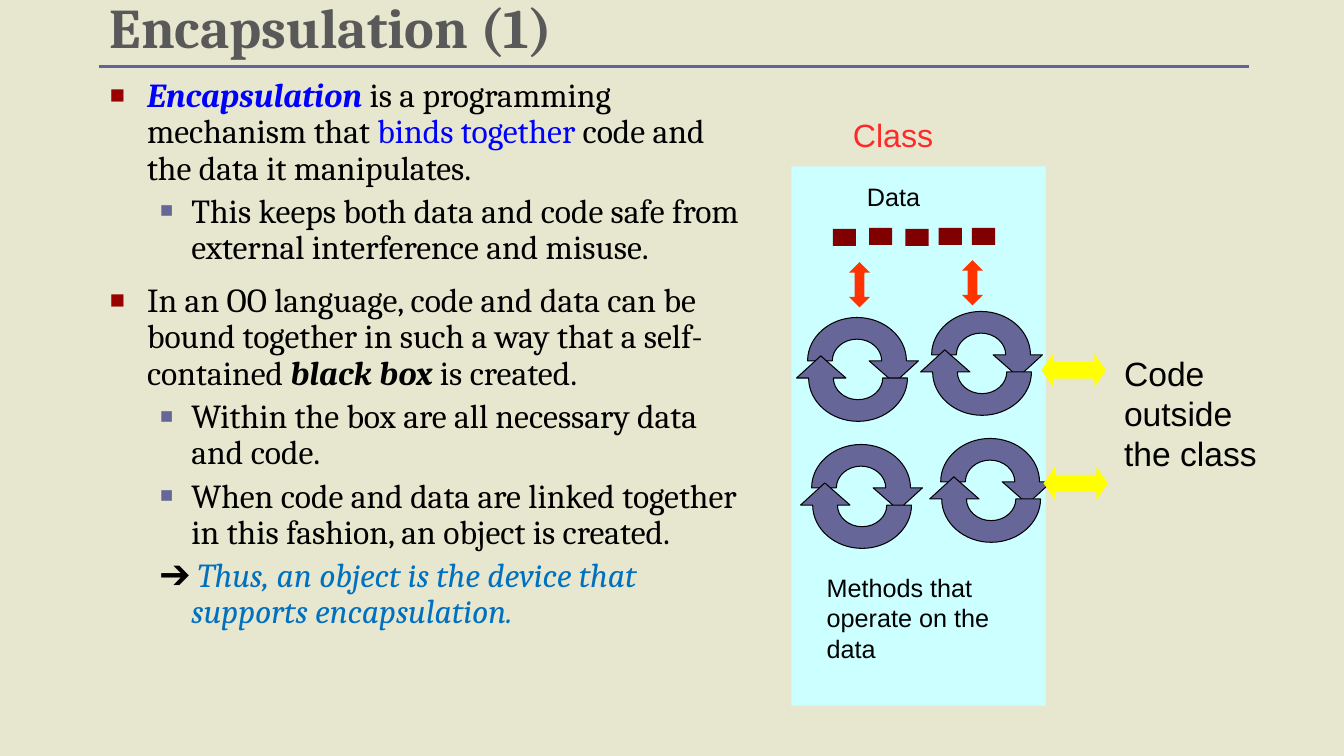
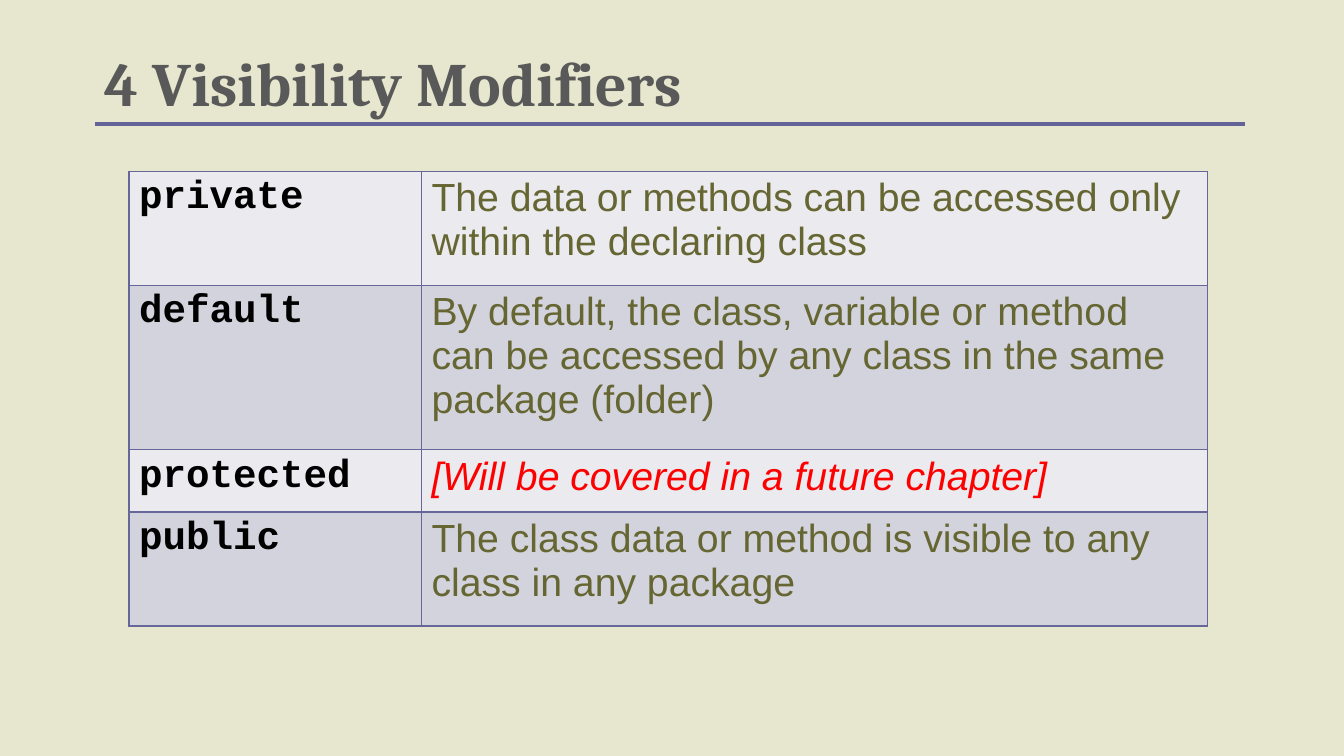
import lxml.etree
import pptx
import pptx.dml.color
import pptx.enum.shapes
import pptx.enum.text
import pptx.oxml.ns
import pptx.util

Inches = pptx.util.Inches
Pt = pptx.util.Pt
RGB = pptx.dml.color.RGBColor
qn = pptx.oxml.ns.qn
KIND = pptx.enum.shapes.MSO_SHAPE

SAND = RGB(0xE7, 0xE7, 0xCF)
GRAY = RGB(0x59, 0x59, 0x59)
RULE = RGB(0x63, 0x63, 0x97)
PLUM = RGB(0x66, 0x66, 0x99)
BLACK = RGB(0, 0, 0)
BLUE = RGB(0, 0, 0xFF)
SKY = RGB(0, 0x70, 0xC0)
RED = RGB(0xFF, 0, 0)
CORAL = RGB(0xFF, 0x29, 0x29)
CRIMSON = RGB(0x99, 0, 0)
MAROON = RGB(0x80, 0, 0)
ORANGE = RGB(0xFF, 0x33, 0)
YELLOW = RGB(0xFF, 0xFF, 0)
CYAN = RGB(0xCC, 0xFF, 0xFF)
OLIVE = RGB(0x66, 0x66, 0x33)
BANDS = (RGB(0xEA, 0xEA, 0xEF), RGB(0xD3, 0xD3, 0xDE))

SERIF, SANS, MONO = "Cambria", "Arial", "Courier New"

LEVELS = {
    "main": (0.37, -0.37, CRIMSON, 75),
    "sub": (0.81, -0.31, PLUM, 65),
    "plain": (0.81, -0.31, None, None),
}
POINTS = [
    ("main", 5, [("Encapsulation ", BLUE, True, True),
                 ("is a programming mechanism that ", BLACK, False, False),
                 ("binds together ", BLUE, False, False),
                 ("code and the data it manipulates.", BLACK, False, False)]),
    ("sub", 5, [("This keeps both data and code safe from external interference and misuse.",
                 BLACK, False, False)]),
    ("main", 12, [("In an OO language, code and data can be bound together in such a way "
                   "that a self-contained ", BLACK, False, False),
                  ("black box ", BLACK, True, True),
                  ("is created.", BLACK, False, False)]),
    ("sub", 5, [("Within the box are all necessary data and code.", BLACK, False, False)]),
    ("sub", 5, [("When code and data are linked together in this fashion, an object is created.",
                 BLACK, False, False)]),
    ("plain", 5, [("➔ ", BLACK, False, False),
                  ("Thus, an object is the device that supports encapsulation.",
                   SKY, False, True)]),
]
LABELS = [
    ("Class", (8.36, 1.09, 2.29, 0.52), 23, CORAL),
    ("Data", (8.5, 1.75, 1.04, 0.43), 18, BLACK),
    ("Methods that operate on the data", (8.1, 5.63, 1.92, 1.08), 18, BLACK),
    ("Code outside the class", (11.05, 3.45, 1.75, 1.42), 24, BLACK),
]
DATA = [(8.26, 2.27), (8.62, 2.26), (8.98, 2.27), (9.31, 2.26), (9.64, 2.26)]
RINGS = [(9.24, 3.09), (8.05, 4.41), (8.01, 3.15), (9.33, 4.35)]
RING = (0.98, 0.86)
LINKS = [(8.42, 2.6), (9.54, 2.58)]
GATES = [(10.33, 3.51), (10.35, 4.63)]

WIDTHS = (2.9, 7.8)
HEIGHTS = (1.13, 1.63, 0.62, 1.13)
ROWS = [
    ("private", "The data or methods can be accessed only within the declaring class"),
    ("default", "By default, the class, variable or method can be accessed by any class "
                "in the same package (folder)"),
    ("protected", "[Will be covered in a future chapter]"),
    ("public", "The class data or method is visible to any class in any package"),
]
LATER = "protected"


def style(run, face, size, color, bold=False, slant=False):
    font = run.font
    font.name, font.size = face, Pt(size)
    font.bold, font.italic = bold, slant
    font.color.rgb = color


def start(deck, text, box, size, rule):
    slide = deck.slides.add_slide(deck.slide_layouts[5])
    title = slide.shapes.title
    title.left, title.top, title.width, title.height = map(Inches, box)
    frame = title.text_frame
    frame.text = text
    frame.auto_size = pptx.enum.text.MSO_AUTO_SIZE.NONE
    frame.vertical_anchor = pptx.enum.text.MSO_ANCHOR.BOTTOM
    para = frame.paragraphs[0]
    para.alignment = pptx.enum.text.PP_ALIGN.LEFT
    para.line_spacing = 0.8
    style(para.runs[0], SERIF, size, GRAY, True)
    return slide


def underline(slide, left, top):
    line = slide.shapes.add_connector(
        pptx.enum.shapes.MSO_CONNECTOR.STRAIGHT,
        Inches(left), Inches(top), Inches(left + 11.41), Inches(top))
    line.line.color.rgb = RULE
    line.line.width = Pt(2.5)
    lxml.etree.SubElement(line._element.spPr, qn("a:effectLst"))


def write(shapes, box):
    frame = shapes.add_textbox(*map(Inches, box)).text_frame
    frame.word_wrap = True
    return frame


def bullet(para, level):
    left, hang, color, size = LEVELS[level]
    props = para._p.get_or_add_pPr()
    props.set("marL", str(Inches(left)))
    props.set("indent", str(Inches(hang)))
    if color is None:
        lxml.etree.SubElement(props, qn("a:buNone"))
        return
    tint = lxml.etree.SubElement(props, qn("a:buClr"))
    lxml.etree.SubElement(tint, qn("a:srgbClr"), val=str(color))
    lxml.etree.SubElement(props, qn("a:buSzPct"), val=str(size * 1000))
    lxml.etree.SubElement(props, qn("a:buFont"), typeface=SANS)
    lxml.etree.SubElement(props, qn("a:buChar"), char="■")


def outline(slide):
    frame = write(slide.shapes, (0.99, 0.73, 6.51, 6.77))
    for num, (level, gap, parts) in enumerate(POINTS):
        para = frame.add_paragraph() if num else frame.paragraphs[0]
        para.level = 0 if level == "main" else 1
        para.line_spacing = 0.9
        para.space_before = Pt(gap)
        bullet(para, level)
        for text, color, bold, slant in parts:
            run = para.add_run()
            run.text = text
            style(run, SERIF, 24, color, bold, slant)


def paint(shape, color):
    shape.shadow.inherit = False
    shape.fill.solid()
    shape.fill.fore_color.rgb = color


def block(shapes, kind, box, color, *bends):
    shape = shapes.add_shape(kind, *map(Inches, box))
    paint(shape, color)
    shape.line.fill.background()
    for num, bend in enumerate(bends):
        shape.adjustments[num] = bend


def arch(wide, high):
    bend, rise = wide * 0.55, high * 0.55
    return [(wide, -rise), (bend, -high), (0, -high),
            (-bend, -high), (-wide, -rise), (-wide, 0)]


def turn(shapes, left, top, angle):
    wide, high = RING
    outer = [(-x, y) for x, y in arch(wide / 2, high / 2)]
    spots = [(wide / 4, 0), *arch(wide / 4, high / 4), (-wide / 2, 0), *outer,
             (0.61, 0), (0.37, 0.22), (0.12, 0)]
    spots = [(Inches(left + wide / 2 + x), Inches(top + high / 2 + y)) for x, y in spots]
    form = shapes.build_freeform(*spots[0])
    form.add_line_segments(spots[1:], close=True)
    shape = form.convert_to_shape()
    lines = list(shape._element.iter(qn("a:lnTo")))
    for first in (0, 3, 7, 10):
        curve = lxml.etree.Element(qn("a:cubicBezTo"))
        lines[first].addprevious(curve)
        for line in lines[first:first + 3]:
            curve.append(line[0])
            line.getparent().remove(line)
    shape.width, shape.height = map(Inches, RING)
    route = next(shape._element.iter(qn("a:path")))
    route.set("w", str(shape.width))
    route.set("h", str(shape.height))
    shape.rotation = angle
    paint(shape, PLUM)
    shape.line.color.rgb = BLACK
    shape.line.width = Pt(0.75)


def diagram(slide):
    shapes = slide.shapes.add_group_shape().shapes
    block(shapes, KIND.RECTANGLE, (7.85, 1.65, 2.52, 5.35), CYAN)
    for spot in DATA:
        block(shapes, KIND.RECTANGLE, (*spot, 0.23, 0.17), MAROON)
    for left, top in RINGS:
        turn(shapes, left, top, 0)
        turn(shapes, left + 0.01, top + 0.17, 180)
    for spot in LINKS:
        block(shapes, KIND.UP_DOWN_ARROW, (*spot, 0.21, 0.45), ORANGE, 0.5, 0.46)
    for spot in GATES:
        block(shapes, KIND.LEFT_RIGHT_ARROW, (*spot, 0.64, 0.33), YELLOW, 0.5, 0.35)
    for text, box, size, color in LABELS:
        frame = write(shapes, box)
        frame.text = text
        style(frame.paragraphs[0].runs[0], SANS, size, color)


def border(cell):
    props = cell._tc.get_or_add_tcPr()
    for side in ("lnL", "lnR", "lnT", "lnB"):
        edge = lxml.etree.SubElement(props, qn("a:" + side), w=str(Pt(1)))
        fill = lxml.etree.SubElement(edge, qn("a:solidFill"))
        lxml.etree.SubElement(fill, qn("a:srgbClr"), val=str(PLUM))


def grid(slide):
    box = (1.28, 1.7, sum(WIDTHS), sum(HEIGHTS))
    table = slide.shapes.add_table(len(ROWS), len(WIDTHS), *map(Inches, box)).table
    table.first_row = table.horz_banding = False
    for col, width in zip(table.columns, WIDTHS):
        col.width = Inches(width)
    for num, (row, texts) in enumerate(zip(table.rows, ROWS)):
        row.height = Inches(HEIGHTS[num])
        late = texts[0] == LATER
        looks = ((MONO, 28, BLACK, True),
                 (SANS, 28, RED if late else OLIVE, False, late))
        for cell, text, look in zip(row.cells, texts, looks):
            border(cell)
            cell.fill.solid()
            cell.fill.fore_color.rgb = BANDS[num % 2]
            cell.text_frame.text = text
            style(cell.text_frame.paragraphs[0].runs[0], *look)


def main():
    deck = pptx.Presentation()
    deck.slide_width, deck.slide_height = Inches(13.33), Inches(7.5)
    back = deck.slide_master.background.fill
    back.solid()
    back.fore_color.rgb = SAND
    slide = start(deck, "Encapsulation (1)", (0.99, -0.02, 8.92, 0.66), 40, 0.66)
    outline(slide)
    diagram(slide)
    underline(slide, 0.98, 0.66)
    slide = start(deck, "4 Visibility Modifiers", (0.94, 0.42, 8.92, 0.8), 44, 1.23)
    grid(slide)
    underline(slide, 0.94, 1.23)
    deck.save("out.pptx")


if __name__ == "__main__":
    main()
